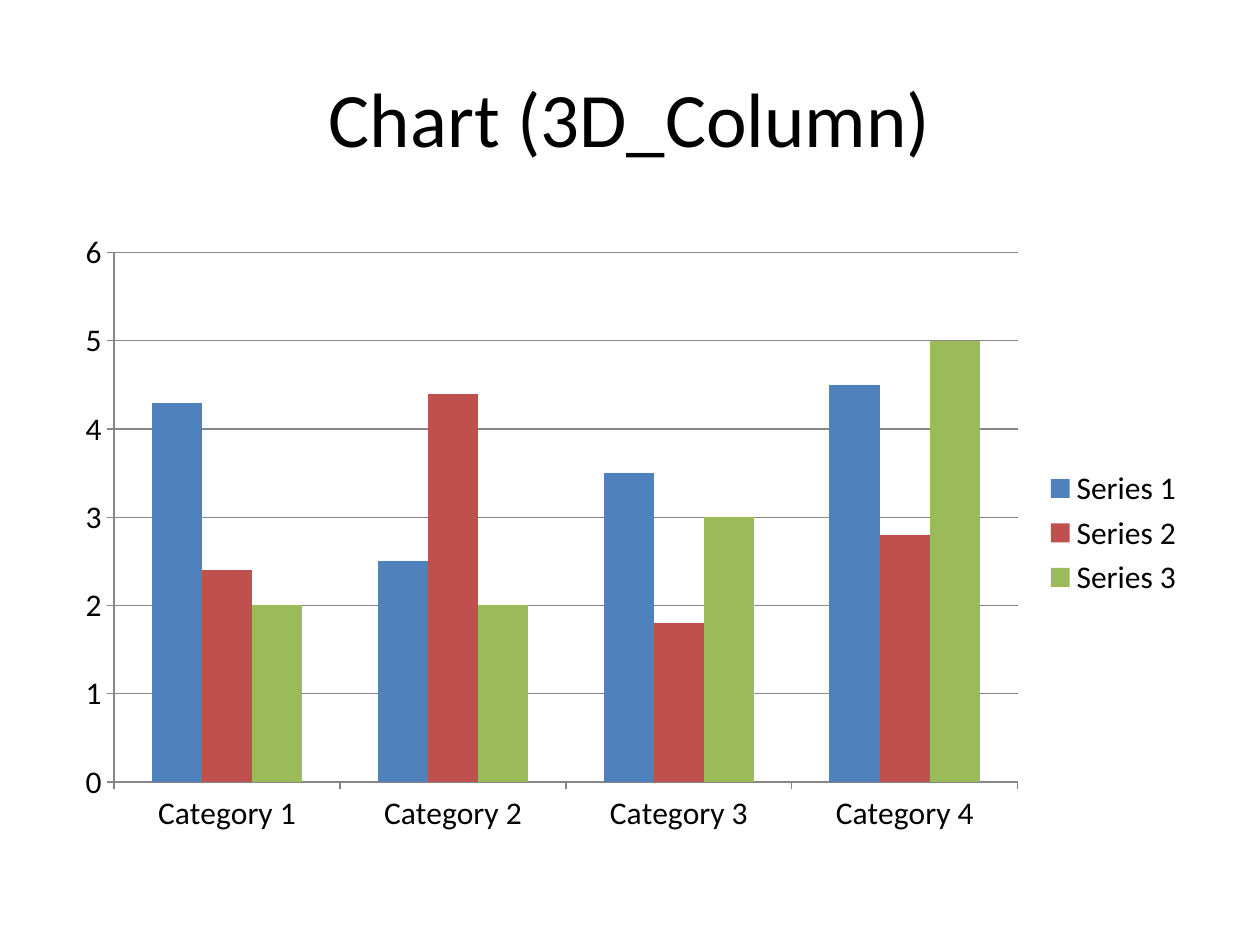
from pptx import Presentation
from pptx.chart.data import CategoryChartData
from pptx.dml.color import RGBColor
from pptx.enum.chart import XL_CHART_TYPE, XL_LEGEND_POSITION, XL_TICK_MARK
from pptx.enum.text import MSO_ANCHOR, PP_ALIGN
from pptx.util import Emu, Pt

# Content
TITLE = "Chart (3D_Column)"
CATEGORIES = ["Category 1", "Category 2", "Category 3", "Category 4"]
SERIES = [
    ("Series 1", "4F81BD", (4.3, 2.5, 3.5, 4.5)),
    ("Series 2", "C0504D", (2.4, 4.4, 1.8, 2.8)),
    ("Series 3", "9BBB59", (2, 2, 3, 5)),
]

# Layout in px, 126 px to the inch
SLIDE_W, SLIDE_H = 1260, 945
MARGIN = 63
CONTENT_W = SLIDE_W - 2 * MARGIN
TITLE_TOP, TITLE_H = 38, 157
CHART_TOP, CHART_H = 221, 624

FONT = "Calibri"
BLACK, AXIS_GRAY = "000000", "868686"


def px(length):
    return Emu(round(length * 914400 / 126))


def rgb(value):
    return RGBColor.from_string(value)


def style_font(font, size, color=BLACK):
    font.name = FONT
    font.size = Pt(size)
    font.color.rgb = rgb(color)


def style_line(line, color=AXIS_GRAY, width=0.75):
    line.color.rgb = rgb(color)
    line.width = Pt(width)


def add_text(slide, text, left, top, width, height, size=18, color=BLACK,
             align=PP_ALIGN.LEFT, anchor=MSO_ANCHOR.TOP):
    frame = slide.shapes.add_textbox(px(left), px(top), px(width), px(height)).text_frame
    frame.word_wrap = True
    frame.vertical_anchor = anchor
    paragraph = frame.paragraphs[0]
    paragraph.alignment = align
    run = paragraph.add_run()
    run.text = text
    style_font(run.font, size, color)


def add_column_chart(slide):
    figures = CategoryChartData()
    figures.categories = CATEGORIES
    for name, _, values in SERIES:
        figures.add_series(name, values)
    chart = slide.shapes.add_chart(
        XL_CHART_TYPE.COLUMN_CLUSTERED, px(MARGIN), px(CHART_TOP),
        px(CONTENT_W), px(CHART_H), figures).chart
    style_font(chart.font, 18)
    chart.has_title = False

    # Columns
    plot = chart.plots[0]
    plot.vary_by_categories = False
    plot.gap_width = 150
    plot.overlap = 0
    for series, (_, color, _) in zip(plot.series, SERIES):
        series.format.fill.solid()
        series.format.fill.fore_color.rgb = rgb(color)

    # Axes and gridlines
    for axis in (chart.category_axis, chart.value_axis):
        axis.major_tick_mark = XL_TICK_MARK.OUTSIDE
        axis.minor_tick_mark = XL_TICK_MARK.NONE
        style_line(axis.format.line)
    scale = chart.value_axis
    scale.minimum_scale, scale.maximum_scale, scale.major_unit = 0, 6, 1
    scale.has_major_gridlines = True
    style_line(scale.major_gridlines.format.line)

    # Legend
    chart.has_legend = True
    chart.legend.position = XL_LEGEND_POSITION.RIGHT
    chart.legend.include_in_layout = False


def main():
    deck = Presentation()
    deck.slide_width, deck.slide_height = px(SLIDE_W), px(SLIDE_H)
    slide = deck.slides.add_slide(deck.slide_layouts[6])
    add_text(slide, TITLE, MARGIN, TITLE_TOP, CONTENT_W, TITLE_H, size=44,
             align=PP_ALIGN.CENTER, anchor=MSO_ANCHOR.MIDDLE)
    add_column_chart(slide)
    deck.save("out.pptx")


if __name__ == "__main__":
    main()
